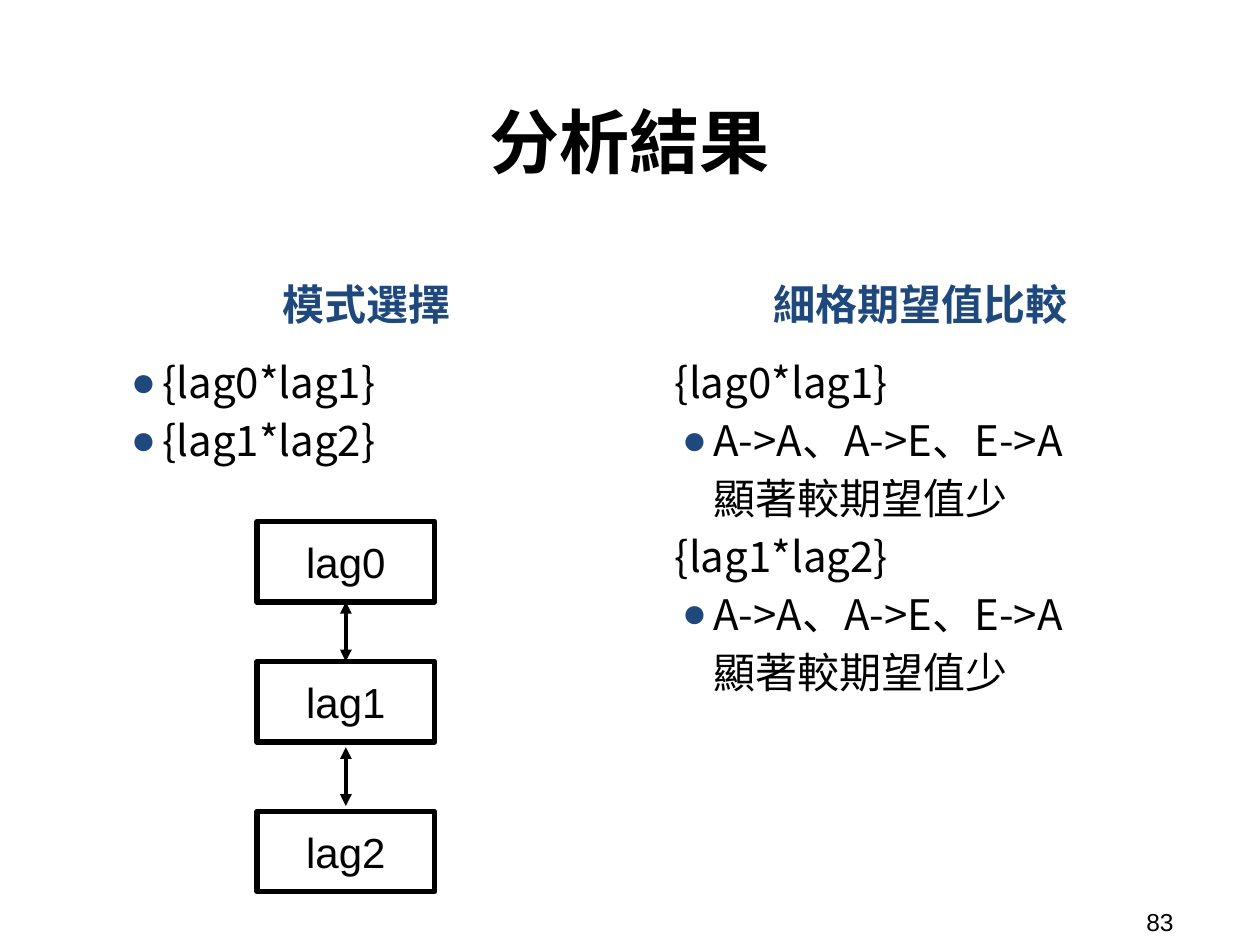
from lxml.etree import SubElement
from pptx import Presentation
from pptx.dml.color import RGBColor
from pptx.enum.shapes import MSO_CONNECTOR, MSO_SHAPE
from pptx.enum.text import MSO_ANCHOR, MSO_AUTO_SIZE, PP_ALIGN
from pptx.oxml.ns import qn
from pptx.util import Pt

BLACK = RGBColor(0x00, 0x00, 0x00)
WHITE = RGBColor(0xFF, 0xFF, 0xFF)
NAVY = RGBColor(0x1F, 0x49, 0x7D)
CJK = "Noto Sans CJK TC"
LATIN = "Arial"
PAD = 7.2
SHORT_INDENT = (27, -13)
INDENT = (36, -18)


def set_frame(tf, anchor=MSO_ANCHOR.TOP, pad_y=PAD):
    tf.word_wrap = True
    tf.auto_size = MSO_AUTO_SIZE.NONE
    tf.vertical_anchor = anchor
    tf.margin_left = tf.margin_right = Pt(PAD)
    tf.margin_top = tf.margin_bottom = Pt(pad_y)


def add_run(p, text, size=24, font=CJK, color=BLACK, bold=False):
    r = p.add_run()
    r.text = text
    r.font.size = Pt(size)
    r.font.bold = bold
    r.font.color.rgb = color
    r.font.name = font
    SubElement(r.font._element, qn("a:ea"), typeface=font)


def format_paragraph(p, indent, bullet=False):
    p.line_spacing = 1.15
    pPr = p._p.get_or_add_pPr()
    left, first = indent
    pPr.set("marL", str(Pt(left)))
    pPr.set("indent", str(Pt(first)))
    if bullet:
        color = SubElement(pPr, qn("a:buClr"))
        SubElement(color, qn("a:srgbClr"), val=str(NAVY))
        SubElement(pPr, qn("a:buFont"), typeface=LATIN)
        SubElement(pPr, qn("a:buChar"), char="●")
    else:
        SubElement(pPr, qn("a:buNone"))


def add_text_box(s, x, y, w, h, **frame):
    tf = s.shapes.add_textbox(Pt(x), Pt(y), Pt(w), Pt(h)).text_frame
    set_frame(tf, **frame)
    return tf


def add_title(s, x, y, w, h, text):
    sp = s.shapes.title
    sp.left, sp.top, sp.width, sp.height = Pt(x), Pt(y), Pt(w), Pt(h)
    set_frame(sp.text_frame, MSO_ANCHOR.BOTTOM)
    p = sp.text_frame.paragraphs[0]
    p.alignment = PP_ALIGN.CENTER
    add_run(p, text, size=40, bold=True)


def add_column(s, x, y, w, h, heading, heading_indent, items):
    """Place a heading over a list; items are (lines, indent, bullet)."""
    heading_h = 46
    p = add_text_box(s, x, y, w, heading_h).paragraphs[0]
    p.alignment = PP_ALIGN.CENTER
    format_paragraph(p, heading_indent)
    add_run(p, heading, color=NAVY, bold=True)

    body_top = 44.6
    tf = add_text_box(s, x, y + body_top, w, h - body_top)
    for i, (lines, indent, bullet) in enumerate(items):
        p = tf.add_paragraph() if i else tf.paragraphs[0]
        format_paragraph(p, indent, bullet)
        for j, line in enumerate(lines):
            if j:
                p.add_line_break()
            add_run(p, line)


def add_node(s, x, y, w, h, text):
    sp = s.shapes.add_shape(MSO_SHAPE.RECTANGLE, Pt(x), Pt(y), Pt(w), Pt(h))
    sp.shadow.inherit = False
    sp.fill.solid()
    sp.fill.fore_color.rgb = WHITE
    sp.line.color.rgb = BLACK
    sp.line.width = Pt(3)
    set_frame(sp.text_frame, MSO_ANCHOR.MIDDLE)
    p = sp.text_frame.paragraphs[0]
    p.alignment = PP_ALIGN.CENTER
    add_run(p, text, font=LATIN)
    return sp


def add_double_arrow(s, x, top, bottom):
    c = s.shapes.add_connector(MSO_CONNECTOR.STRAIGHT, Pt(x), Pt(top), Pt(x), Pt(bottom))
    c.line.color.rgb = BLACK
    c.line.width = Pt(2.25)
    ln = c.line._get_or_add_ln()
    for end in ("a:headEnd", "a:tailEnd"):
        SubElement(ln, qn(end), type="triangle")
    SubElement(c._element.spPr, qn("a:effectLst"))
    return c


def add_lag_chain(s, x, y, w):
    node_h = 46
    tops = [y, y + 80, y + 165.6]
    nodes = [add_node(s, x, top, w, node_h, f"lag{i}") for i, top in enumerate(tops)]
    joined = add_double_arrow(s, x + w / 2, tops[0] + node_h, tops[1])
    joined.begin_connect(nodes[0], 2)
    joined.end_connect(nodes[1], 0)
    gap = 3
    add_double_arrow(s, x + w / 2, tops[1] + node_h + gap, tops[2] - gap)


def add_page_number(s, x, y, w, h, number):
    tf = add_text_box(s, x, y, w, h, anchor=MSO_ANCHOR.MIDDLE, pad_y=3.6)
    add_run(tf.paragraphs[0], number, size=14, font=LATIN)


def main():
    prs = Presentation()
    prs.slide_width, prs.slide_height = Pt(720), Pt(540)
    s = prs.slides.add_slide(prs.slide_layouts[5])

    models = ["{lag0*lag1}", "{lag1*lag2}"]
    finding = (["A->A、A->E、E->A", "顯著較期望值少"], INDENT, True)
    comparisons = []
    for model in models:
        comparisons += [([model], SHORT_INDENT, False), finding]

    add_title(s, 37.4, 13.7, 645, 98, "分析結果")
    add_column(s, 49.7, 147.6, 305, 362, "模式選擇", SHORT_INDENT,
               [([model], INDENT, True) for model in models])
    add_column(s, 364.6, 147.6, 305, 362, "細格期望值比較", INDENT, comparisons)
    add_lag_chain(s, 146.9, 298, 101.5)
    add_page_number(s, 648, 516.2, 66, 21, "83")
    prs.save("out.pptx")


if __name__ == "__main__":
    main()
